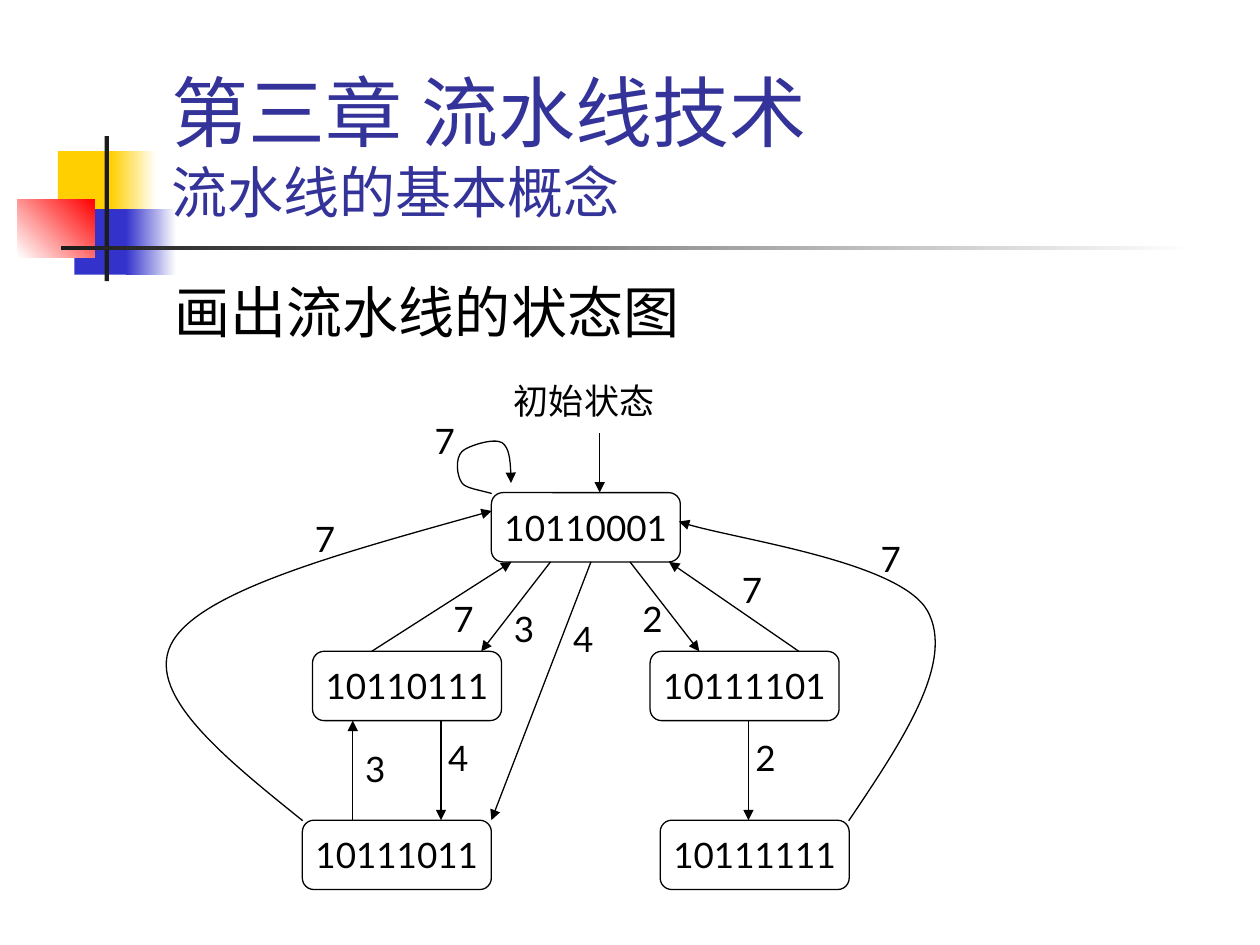
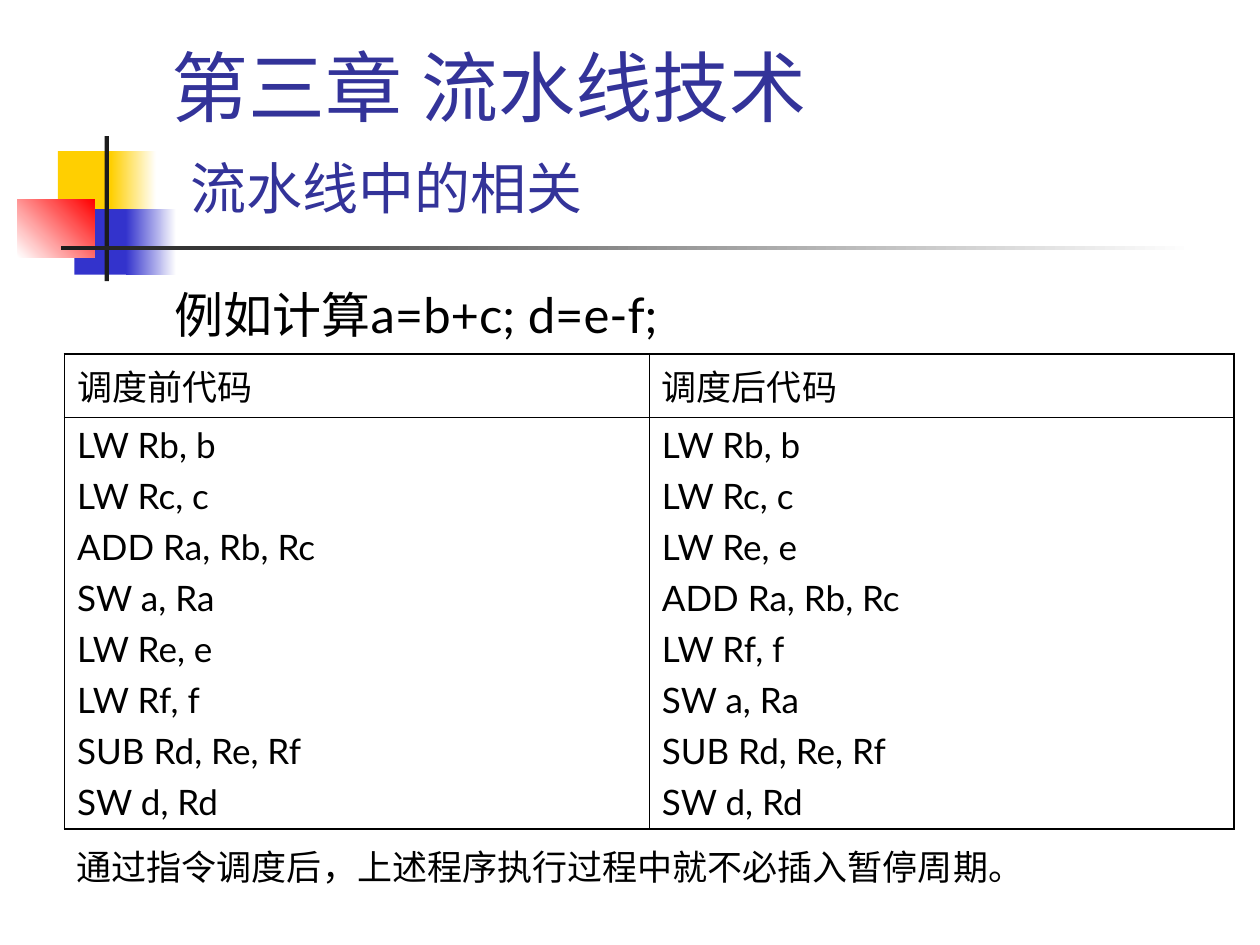
from lxml import etree
from pptx import Presentation
from pptx.dml.color import RGBColor
from pptx.enum.shapes import MSO_CONNECTOR, MSO_SHAPE
from pptx.enum.text import MSO_ANCHOR, PP_ALIGN
from pptx.oxml.ns import qn
from pptx.util import Pt

RECT, ROUND = MSO_SHAPE.RECTANGLE, MSO_SHAPE.ROUNDED_RECTANGLE
LINE = MSO_CONNECTOR.STRAIGHT
TOP, MIDDLE, BOTTOM = MSO_ANCHOR.TOP, MSO_ANCHOR.MIDDLE, MSO_ANCHOR.BOTTOM
CENTER = PP_ALIGN.CENTER
LATIN, HAN = "Lato", "Noto Sans CJK SC"
INK = {"black": "000000", "white": "FFFFFF", "title": "333399", "gold": "FFCF01",
       "blue": "3333CC", "red": "FF0000", "dark": "1C1C1C"}

BANDS = [
    (33.1, 86.4, 34.6, 37.4, "gold", None, 0),
    (63.4, 86.4, 25.9, 37.4, "gold", "white", 0),
    (42.5, 119.5, 33.1, 37.4, "blue", None, 0),
    (72, 119.5, 28.8, 37.4, "blue", "white", 0),
    (10.1, 113.8, 43.9, 33.1, "white", "red", 45),
    (59.8, 77.8, 2.4, 82.8, "dark", None, 0),
    (34.6, 140.4, 648, 2.4, "dark", "white", 0),
]
NODES = [
    (280.8, 281.5, "10110001"),
    (178.6, 372.2, "10110111"),
    (371.5, 372.2, "10111101"),
    (172.8, 468.7, "10111011"),
    (377.3, 468.7, "10111111"),
]
ARROWS = [
    (342.7, 247.7, 342.7, 281.5),
    (360, 321.1, 399.6, 372.2),
    (456.5, 372.2, 382.3, 321.1),
    (314.6, 321.1, 275, 372.2),
    (212.4, 372.2, 292.3, 321.1),
    (337.7, 321.1, 280.8, 468.7),
    (427.7, 411.8, 427.7, 468.7),
    (252, 411.8, 252, 468.7),
    (201.6, 468.7, 201.6, 411.8),
]
CURVES = [
    [(484.6, 468.7), (515.5, 423.4), (546.5, 378), (529.9, 349.2),
     (514.1, 321.1), (411.8, 306.7), (388.1, 298.1)],
    [(172.8, 468.7), (126.7, 432), (81.4, 395.3), (99.4, 366.5),
     (117.4, 337), (198.7, 314.6), (280.8, 292.3)],
    [(280.8, 281.5), (273.6, 280.1), (266.4, 279.4), (263.5, 275.8),
     (260.6, 272.2), (259.9, 262.1), (263.5, 258.5),
     (267.1, 254.9), (281.5, 249.8), (286.6, 252.7),
     (290.9, 255.6), (291.6, 265.7), (292.3, 275.8)],
]
COSTS = [
    (360, 337.7, "2"), (320.4, 349.2, "4"), (286.6, 343.4, "3"), (252, 337.7, "7"),
    (249, 417.6, "4"), (201.6, 423.4, "3"), (416.9, 321.1, "7"), (496.1, 303.8, "7"),
    (424.6, 417.6, "2"), (172.8, 292.3, "7"), (241.2, 236.2, "7"),
]
BEFORE = ["LW Rb, b", "LW Rc, c", "ADD Ra, Rb, Rc", "SW a, Ra",
          "LW Re, e", "LW Rf, f", "SUB Rd, Re, Rf", "SW d, Rd"]
AFTER = ["LW Rb, b", "LW Rc, c", "LW Re, e", "ADD Ra, Rb, Rc",
         "LW Rf, f", "SW a, Ra", "SUB Rd, Re, Rf", "SW d, Rd"]


def tint(name):
    return RGBColor.from_string(INK[name])


def write(para, text, size=20, color="black", font=LATIN, east=LATIN):
    for i, part in enumerate(text.split("\n")):
        if i:
            para.add_line_break()
        if part:
            run = para.add_run()
            run.text = part
            run.font.size = Pt(size)
            run.font.name = font
            run.font.color.rgb = tint(color)
            etree.SubElement(run.font._element, qn("a:ea"), typeface=east)


class Deck:
    def __init__(self):
        self.show = Presentation()
        self.show.slide_width, self.show.slide_height = Pt(720), Pt(540)

    def page(self, topic, lead=""):
        slide = self.show.slides.add_slide(self.show.slide_layouts[6])
        self.art = slide.shapes
        for band in BANDS:
            self.band(*band)
        para = self.text(90.7, 16.6, 613.4, 115.2, anchor=BOTTOM)
        write(para, "第三章 流水线技术\n" + lead, size=44, color="title", font=HAN)
        write(para, topic, size=32, color="title")

    def band(self, x, y, w, h, start, end, angle):
        box = self.art.add_shape(RECT, Pt(x), Pt(y), Pt(w), Pt(h))
        box.shadow.inherit = False
        box.line.fill.background()
        if not end:
            box.fill.solid()
            box.fill.fore_color.rgb = tint(start)
            return
        box.fill.gradient()
        box.fill.gradient_angle = angle
        for stop, name in zip(box.fill.gradient_stops, (start, end)):
            stop.color.rgb = tint(name)

    def text(self, x, y, w, h, text="", anchor=TOP, **style):
        frame = self.art.add_textbox(Pt(x), Pt(y), Pt(w), Pt(h)).text_frame
        frame.word_wrap = True
        frame.vertical_anchor = anchor
        para = frame.paragraphs[0]
        write(para, text, **style)
        return para

    def node(self, x, y, state):
        box = self.art.add_shape(ROUND, Pt(x), Pt(y), Pt(108), Pt(39.6))
        box.shadow.inherit = False
        box.fill.background()
        self.stroke(box)
        frame = box.text_frame
        frame.word_wrap = False
        frame.margin_left = frame.margin_right = Pt(0)
        frame.vertical_anchor = MIDDLE
        frame.paragraphs[0].alignment = CENTER
        write(frame.paragraphs[0], state)

    def stroke(self, shape, head=False):
        shape.line.color.rgb = tint("black")
        shape.line.width = Pt(0.75)
        if head:
            etree.SubElement(shape.line._get_or_add_ln(), qn("a:tailEnd"), type="triangle")

    def arrow(self, *ends):
        line = self.art.add_connector(LINE, *map(Pt, ends))
        self.stroke(line, head=True)
        etree.SubElement(line._element.spPr, qn("a:effectLst"))

    def curve(self, dots):
        pen = self.art.build_freeform(*dots[0], scale=Pt(1))
        pen.add_line_segments(dots[1:], close=False)
        shape = pen.convert_to_shape()
        shape.shadow.inherit = False
        shape.fill.background()
        self.stroke(shape, head=True)
        legs = list(shape._element.iter(qn("a:lnTo")))
        for i in range(0, len(legs), 3):
            bend = etree.Element(qn("a:cubicBezTo"))
            legs[i].addprevious(bend)
            for leg in legs[i:i + 3]:
                bend.append(leg[0])
                leg.getparent().remove(leg)

    def table(self, x, y, widths, heights, rows):
        grid = self.art.add_table(len(rows), len(widths), Pt(x), Pt(y),
                                  Pt(sum(widths)), Pt(sum(heights))).table
        grid.first_row = grid.horz_banding = False
        for col, width in zip(grid.columns, widths):
            col.width = Pt(width)
        for r, row in enumerate(rows):
            grid.rows[r].height = Pt(heights[r])
            for c, lines in enumerate(row):
                cell = grid.cell(r, c)
                cell.fill.background()
                self.edge(cell, L=c == 0, R=c == len(row) - 1,
                          T=r == 0, B=r == len(rows) - 1)
                for i, line in enumerate(lines):
                    frame = cell.text_frame
                    para = frame.add_paragraph() if i else frame.paragraphs[0]
                    if i:
                        para.space_before = Pt(5)
                    write(para, line, east=LATIN if r else HAN)

    def edge(self, cell, **sides):
        props = cell._tc.get_or_add_tcPr()
        for i, (side, outer) in enumerate(sides.items()):
            line = etree.Element(qn("a:ln" + side), w=str(Pt(1.08 if outer else 0.45)))
            fill = etree.SubElement(line, qn("a:solidFill"))
            etree.SubElement(fill, qn("a:srgbClr"), val=INK["black"])
            props.insert(i, line)


def main():
    deck = Deck()

    deck.page("流水线的基本概念")
    para = deck.text(92.9, 159.1, 306.7, 43.2, "画出流水线的状态图", size=32)
    para.line_spacing = 0.9
    for node in NODES:
        deck.node(*node)
    deck.text(286.6, 213.1, 108, 31.7, "初始状态")
    for ends in ARROWS:
        deck.arrow(*ends)
    for dots in CURVES:
        deck.curve(dots)
    for x, y, cost in COSTS:
        deck.text(x, y, 39.6 if cost == "3" else 28.1, 31.7, cost)

    deck.page("流水线中的相关", lead=" ")
    deck.text(92.9, 159.1, 300.2, 43.2, "例如计算a=b+c; d=e-f;", size=28)
    deck.table(36.9, 202.1, [334.1, 334.1], [36.5, 235],
               [[["调度前代码"], ["调度后代码"]], [BEFORE, AFTER]])
    deck.text(36.7, 479.5, 663.1, 31.7,
              "通过指令调度后，上述程序执行过程中就不必插入暂停周期。")

    deck.show.save("out.pptx")


if __name__ == "__main__":
    main()
